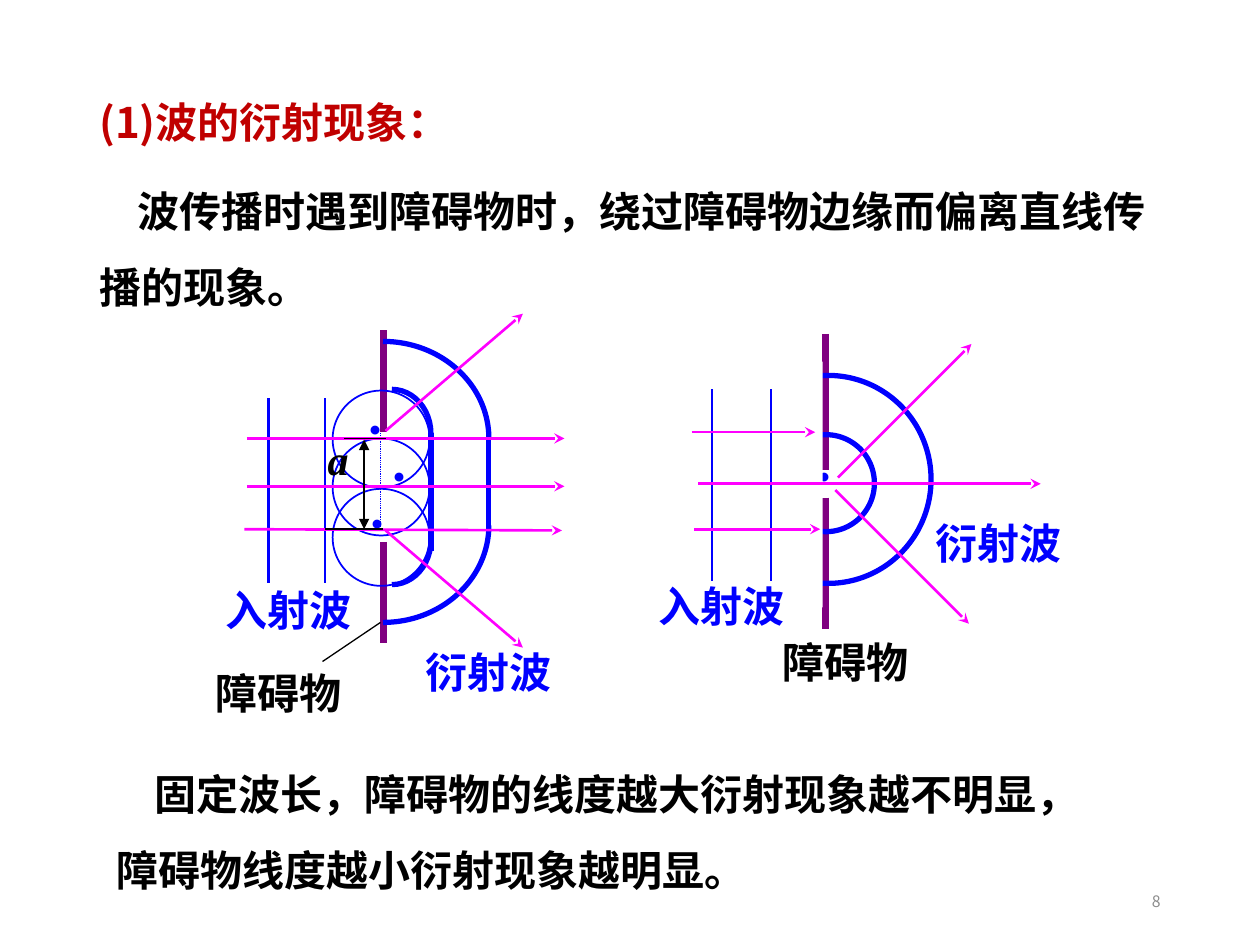
import pptx
import pptx.dml.color
import pptx.enum.dml
import pptx.enum.shapes
import pptx.enum.text
import pptx.oxml
import pptx.oxml.ns
import pptx.util
from pptx.util import Inches

RGBColor = pptx.dml.color.RGBColor
RED = RGBColor(0xC0, 0x00, 0x00)
BLACK = RGBColor(0x00, 0x00, 0x00)
WHITE = RGBColor(0xFF, 0xFF, 0xFF)
BLUE = RGBColor(0x00, 0x00, 0xFF)
PURPLE = RGBColor(0x80, 0x00, 0x80)
MAGENTA = RGBColor(0xFF, 0x00, 0xFF)
GRAY = RGBColor(0x8C, 0x8C, 0x8C)
SANS = "Noto Sans CJK SC"
SHAPE = pptx.enum.shapes.MSO_SHAPE
ALIGN = pptx.enum.text.PP_ALIGN

deck = pptx.Presentation()
deck.slide_width, deck.slide_height = Inches(10), Inches(7.5)
page = deck.slides.add_slide(deck.slide_layouts[6])


def write(place, lines, color, bold=True, size=24, font=SANS, inset=None, align=None):
    box = page.shapes.add_textbox(*map(Inches, place))
    frame = box.text_frame
    frame.word_wrap = True
    if inset is not None:
        frame.margin_left = frame.margin_right = Inches(inset)
        frame.margin_top = frame.margin_bottom = Inches(inset)
    for number, line in enumerate(lines):
        para = frame.add_paragraph() if number else frame.paragraphs[0]
        para.text = line
        para.alignment = align
        para.font.name = font
        para.font.size = pptx.util.Pt(size)
        para.font.bold = bold
        para.font.color.rgb = color
    return frame


def draw_line(start, end, color, width, head=None, tail=None, dash=None):
    line = page.shapes.add_connector(
        pptx.enum.shapes.MSO_CONNECTOR.STRAIGHT, *map(Inches, start + end))
    line.line.color.rgb = color
    line.line.width = pptx.util.Pt(width)
    if dash:
        line.line.dash_style = dash
    properties = line._element.spPr
    outline = properties.find(pptx.oxml.ns.qn("a:ln"))
    for tag, kind in (("headEnd", head), ("tailEnd", tail)):
        if kind:
            arrow = pptx.oxml.parse_xml(f'<a:{tag} {pptx.oxml.ns.nsdecls("a")}/>')
            arrow.set("type", kind)
            outline.append(arrow)
    properties.append(pptx.oxml.parse_xml(f'<a:effectLst {pptx.oxml.ns.nsdecls("a")}/>'))


intro = write((0.69, 0.52, 8.62, 2.1),
              ["(1)波的衍射现象：", "波传播时遇到障碍物时，绕过障碍物边缘而偏离直线传播的现象。"], BLACK)
heading, definition = intro.paragraphs
heading.font.color.rgb = RED
definition.font.name = "Arial"
definition.space_before = pptx.util.Pt(7.5)

conclusion = write((0.83, 5.85, 8.43, 1.31),
                   ["固定波长，障碍物的线度越大衍射现象越不明显，", "障碍物线度越小衍射现象越明显。"],
                   BLACK, font="Arial")
for para in (*intro.paragraphs, *conclusion.paragraphs):
    para.line_spacing = 1.5
for para in (definition, conclusion.paragraphs[0]):
    para._p.get_or_add_pPr().set("indent", str(Inches(0.3)))

number = write((7.06, 6.95, 2.25, 0.4), ["8"], GRAY, bold=False, size=9, align=ALIGN.RIGHT)
number.vertical_anchor = pptx.enum.text.MSO_ANCHOR.MIDDLE

for x, top, bottom in ((3.04, 2.62, 3.43), (3.04, 4.3, 5.1),
                       (6.55, 2.65, 3.73), (6.55, 3.95, 4.99)):
    draw_line((x, top), (x, bottom), PURPLE, 4)
draw_line((3.02, 3.44), (3.02, 4.21), BLUE, 0.5, dash=pptx.enum.dml.MSO_LINE.ROUND_DOT)

for place in ((2.8, 3.2, 0.42, 0.42), (2.82, 3.95, 0.33, 0.51),
              (2.99, 3.57, 0.29, 0.4), (6.37, 3.57, 0.36, 0.4)):
    write(place, ["·"], BLUE, bold=False, inset=0.01)

for left, top, width, height, weight in (
        (2.64, 3.1, 0.77, 0.77, 1), (2.64, 3.48, 0.77, 0.77, 1), (2.64, 3.88, 0.77, 0.77, 1),
        (6.17, 3.45, 0.77, 0.77, 3), (5.76, 2.98, 1.63, 1.65, 3)):
    circle = page.shapes.add_shape(SHAPE.OVAL, *map(Inches, (left, top, width, height)))
    circle.shadow.inherit = False
    circle.fill.background()
    circle.line.color.rgb = BLUE
    circle.line.width = pptx.util.Pt(weight)

cover = page.shapes.add_shape(SHAPE.RECTANGLE, *map(Inches, (5.61, 2.87, 0.92, 1.95)))
cover.shadow.inherit = False
cover.fill.solid()
cover.fill.fore_color.rgb = WHITE
cover.line.fill.background()

for x, y, across, down, angles in (
        (3.11, 3.44, 0.31, 0.35, (-54, 0)), (3.11, 4.29, 0.31, 0.35, (0, 54)),
        (3.04, 3.48, 0.84, 0.77, (-54, 0)), (3.04, 4.17, 0.84, 0.77, (0, 54))):
    arc = page.shapes.add_shape(
        SHAPE.ARC, *map(Inches, (x - across, y - down, 2 * across, 2 * down)))
    arc.adjustments[0] = angles[0] % 216
    arc.adjustments[1] = angles[1]
    arc.shadow.inherit = False
    arc.fill.background()
    arc.line.color.rgb = BLUE
    arc.line.width = pptx.util.Pt(3)

for x, top, bottom, weight in (
        (3.42, 3.44, 4.37, 3), (3.88, 3.48, 4.22, 3), (2.13, 3.16, 4.63, 1.5),
        (2.58, 3.16, 4.63, 1.5), (5.65, 3.09, 4.61, 1.5), (6.12, 3.09, 4.61, 1.5)):
    draw_line((x, top), (x, bottom), BLUE, weight)

for start, end in (
        ((1.96, 3.48), (4.48, 3.48)), ((1.96, 3.86), (4.48, 3.86)), ((1.94, 4.2), (4.46, 4.21)),
        ((3.06, 3.42), (4.15, 2.49)), ((3.06, 4.21), (4.15, 5.14)),
        ((5.49, 3.43), (6.47, 3.43)), ((5.54, 3.84), (8.26, 3.84)), ((5.51, 4.2), (6.51, 4.2)),
        ((6.65, 3.79), (7.71, 2.73)), ((6.63, 3.89), (7.69, 4.95))):
    draw_line(start, end, MAGENTA, 1.5, tail="stealth")

draw_line((2.89, 3.49), (2.89, 4.2), BLACK, 1.5, head="triangle", tail="triangle")
draw_line((2.73, 3.48), (3.06, 3.48), BLACK, 1)
draw_line((2.58, 4.2), (3.04, 4.2), BLACK, 1)
draw_line((2.56, 5.25), (3.02, 4.94), BLACK, 0.75)

for place, label, color in (
        ((1.69, 4.59, 1.22, 0.58), "入射波", BLUE), ((3.28, 5.08, 1.22, 0.58), "衍射波", BLUE),
        ((1.61, 5.25, 1.24, 0.49), "障碍物", BLACK), ((5.13, 4.56, 2.07, 0.57), "入射波", BLUE),
        ((7.33, 4.06, 1.79, 0.57), "衍射波", BLUE), ((6.11, 5, 2.12, 0.48), "障碍物", BLACK)):
    write(place, [label], color, align=ALIGN.JUSTIFY)

width_label = write((2.59, 3.43, 0.35, 0.53), ["a"], BLACK, font="Times New Roman",
                    inset=0.01, align=ALIGN.JUSTIFY)
width_label.paragraphs[0].font.italic = True

deck.save("out.pptx")
